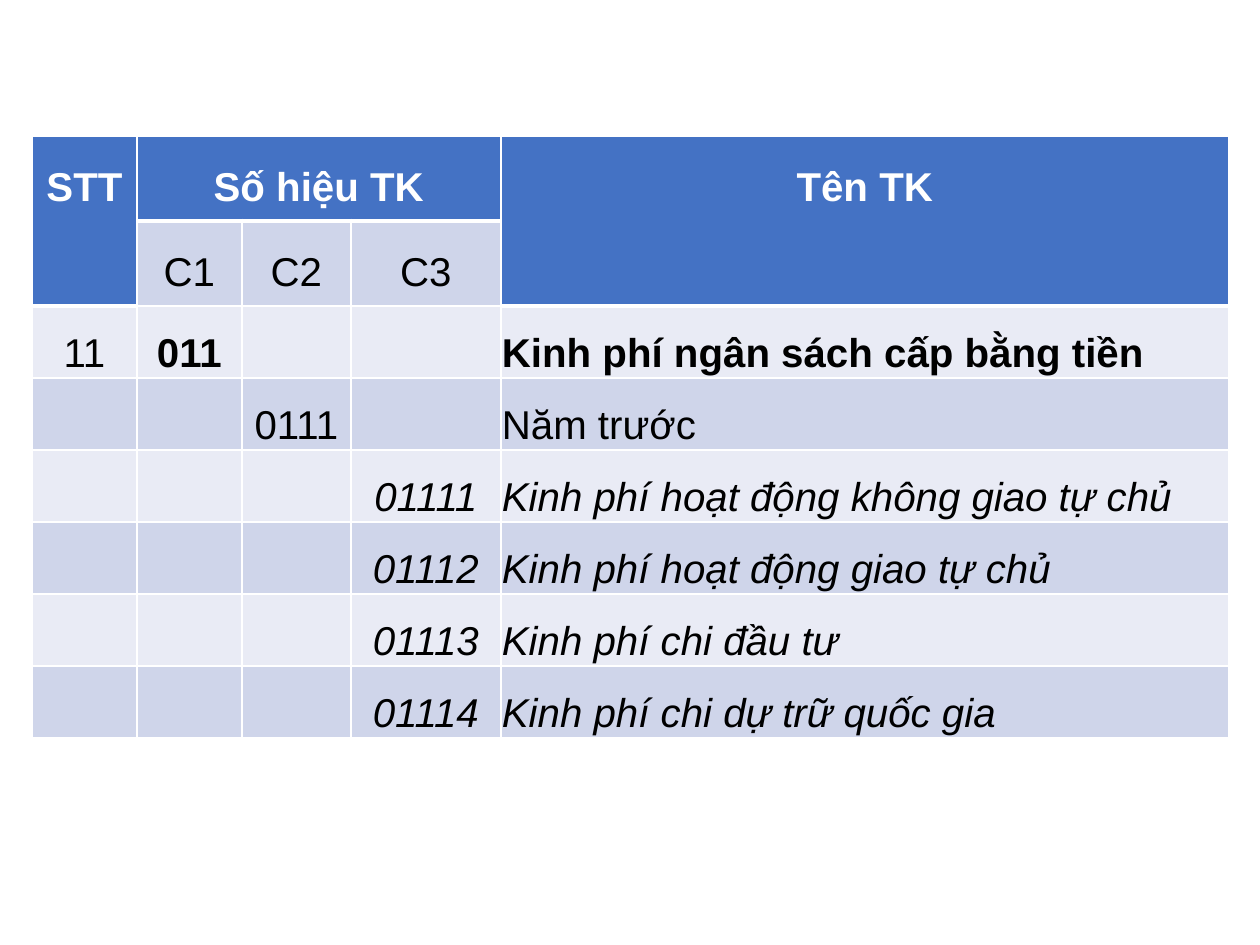
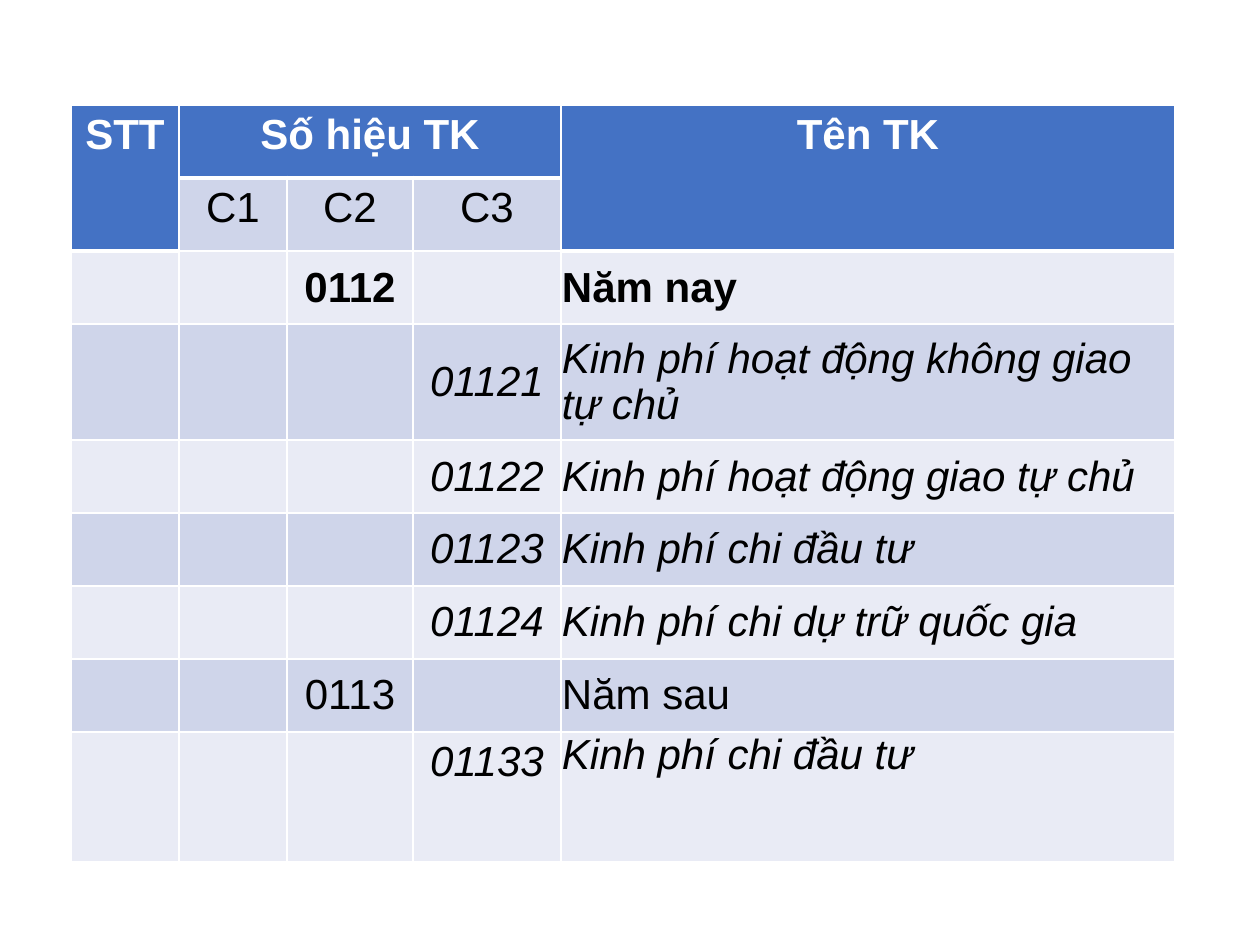
from dataclasses import dataclass

from lxml import etree
from pptx import Presentation
from pptx import util as u
from pptx.dml.color import RGBColor
from pptx.enum import text
from pptx.oxml.ns import qn

PX_PER_INCH = 126
MIDDLE, TOP = text.MSO_ANCHOR.MIDDLE, text.MSO_ANCHOR.TOP
CENTER, LEFT = text.PP_ALIGN.CENTER, text.PP_ALIGN.LEFT


def px(length):
    return u.Emu(round(length * u.Inches(1) / PX_PER_INCH))


@dataclass(frozen=True)
class Theme:
    font: str = "Arial"
    dense_size: int = 23
    normal_size: int = 24
    header: str = "4472C4"
    bands: tuple = ("E9EBF5", "CFD5EA")
    line: str = "FFFFFF"
    header_text: str = "FFFFFF"
    body_text: str = "000000"
    thin: int = 1
    thick: int = 3
    inset: int = 1


@dataclass(frozen=True)
class Account:
    code: str
    name: str
    order: str = ""
    bold: bool = False
    code_at_top: bool = False

    @property
    def column(self):
        """Three digits belong in C1, four in C2, five in C3."""
        return len(self.code) - 2

    @property
    def italic(self):
        return self.column == 3


class AccountDeck:
    def __init__(self, theme):
        self.theme = theme
        self.deck = Presentation()
        self.deck.slide_width, self.deck.slide_height = u.Inches(10), u.Inches(7.5)
        self.page = None

    def add_page(self):
        self.page = self.deck.slides.add_slide(self.deck.slide_layouts[6])

    # Cell parts
    def borders(self, cell, row, column):
        def width_below(line_row):
            under_header = line_row == 0 or (line_row == 1 and column in (0, 4))
            return self.theme.thick if under_header else self.theme.thin

        thin = self.theme.thin
        widths = {"L": thin, "R": thin, "T": width_below(row - 1), "B": width_below(row)}
        properties = cell._tc.get_or_add_tcPr()
        for side, points in widths.items():
            line = etree.SubElement(properties, qn(f"a:ln{side}"), w=str(u.Pt(points)))
            fill = etree.SubElement(line, qn("a:solidFill"))
            etree.SubElement(fill, qn("a:srgbClr"), val=self.theme.line)

    def paint(self, cell, color):
        cell.fill.solid()
        cell.fill.fore_color.rgb = RGBColor.from_string(color)

    def label(self, cell, words, color, align=CENTER, bold=False, italic=False):
        para = cell.text_frame.paragraphs[0]
        para.alignment = align
        para.line_spacing = self.spacing
        span = para.add_run()
        span.text = words
        span.font.name, span.font.size = self.theme.font, u.Pt(self.size)
        span.font.bold, span.font.italic = bold, italic
        span.font.color.rgb = RGBColor.from_string(color)

    def tighten(self, cell, anchor=MIDDLE):
        cell.margin_left = cell.margin_right = px(self.theme.inset)
        cell.margin_top = cell.margin_bottom = 0
        cell.vertical_anchor = anchor

    # Table parts
    def header(self, table):
        table.cell(0, 0).merge(table.cell(1, 0))
        table.cell(0, 1).merge(table.cell(0, 3))
        table.cell(0, 4).merge(table.cell(1, 4))
        for column, words in ((0, "STT"), (1, "Số hiệu TK"), (4, "Tên TK")):
            self.label(table.cell(0, column), words, self.theme.header_text, bold=True)
        for level in (1, 2, 3):
            self.label(table.cell(1, level), f"C{level}", self.theme.body_text)

    def account_row(self, table, row, account):
        color = self.theme.body_text
        code, name = table.cell(row, account.column), table.cell(row, 4)
        if account.order:
            self.tighten(table.cell(row, 0))
            self.label(table.cell(row, 0), account.order, color)
        if not account.code_at_top:
            self.tighten(code)
        self.tighten(name, TOP if account.code_at_top else MIDDLE)
        self.label(code, account.code, color, CENTER, account.bold, account.italic)
        self.label(name, account.name, color, LEFT, account.bold, account.italic)

    def account_table(self, left, top, widths, heights, accounts, size, spacing):
        self.size, self.spacing = size, spacing
        frame = self.page.shapes.add_table(len(heights), len(widths), px(left), px(top),
                                           px(sum(widths)), px(sum(heights)))
        table = frame.table
        table.first_row = table.horz_banding = False
        for column, width in zip(table.columns, widths):
            column.width = px(width)
        for line, height in zip(table.rows, heights):
            line.height = px(height)

        for row in range(len(heights)):
            for column in range(len(widths)):
                cell = table.cell(row, column)
                is_header = row == 0 or (row == 1 and column in (0, 4))
                self.borders(cell, row, column)
                self.paint(cell, self.theme.header if is_header else self.theme.bands[row % 2])
        self.header(table)
        for row, account in enumerate(accounts, start=2):
            self.account_row(table, row, account)


# Accounts
UNASSIGNED = "Kinh phí hoạt động không giao tự chủ"
ASSIGNED = "Kinh phí hoạt động giao tự chủ"
INVESTMENT = "Kinh phí chi đầu tư"
RESERVE = "Kinh phí chi dự trữ quốc gia"


def yearly_funds(year_code):
    names = (UNASSIGNED, ASSIGNED, INVESTMENT, RESERVE)
    return [Account(f"{year_code}{number}", name) for number, name in enumerate(names, 1)]


PREVIOUS_YEAR = [
    Account("011", "Kinh phí ngân sách cấp bằng tiền", "11", bold=True),
    Account("0111", "Năm trước"),
    *yearly_funds("0111"),
]
THIS_AND_NEXT_YEAR = [
    Account("0112", "Năm nay", bold=True),
    *yearly_funds("0112"),
    Account("0113", "Năm sau"),
    Account("01133", INVESTMENT, code_at_top=True),
]


def main():
    theme = Theme()
    builder = AccountDeck(theme)

    # Previous year
    builder.add_page()
    builder.account_table(32, 136, (105, 105, 109, 150, 728), (85, 85) + (72,) * 6,
                          PREVIOUS_YEAR, theme.dense_size, spacing=1.5)

    # This year and next year
    builder.add_page()
    builder.account_table(71, 105, (108, 108, 126, 148, 614),
                          (73, 73, 73, 116) + (73,) * 4 + (130,),
                          THIS_AND_NEXT_YEAR, theme.normal_size, spacing=1.0)

    builder.deck.save("out.pptx")


if __name__ == "__main__":
    main()
